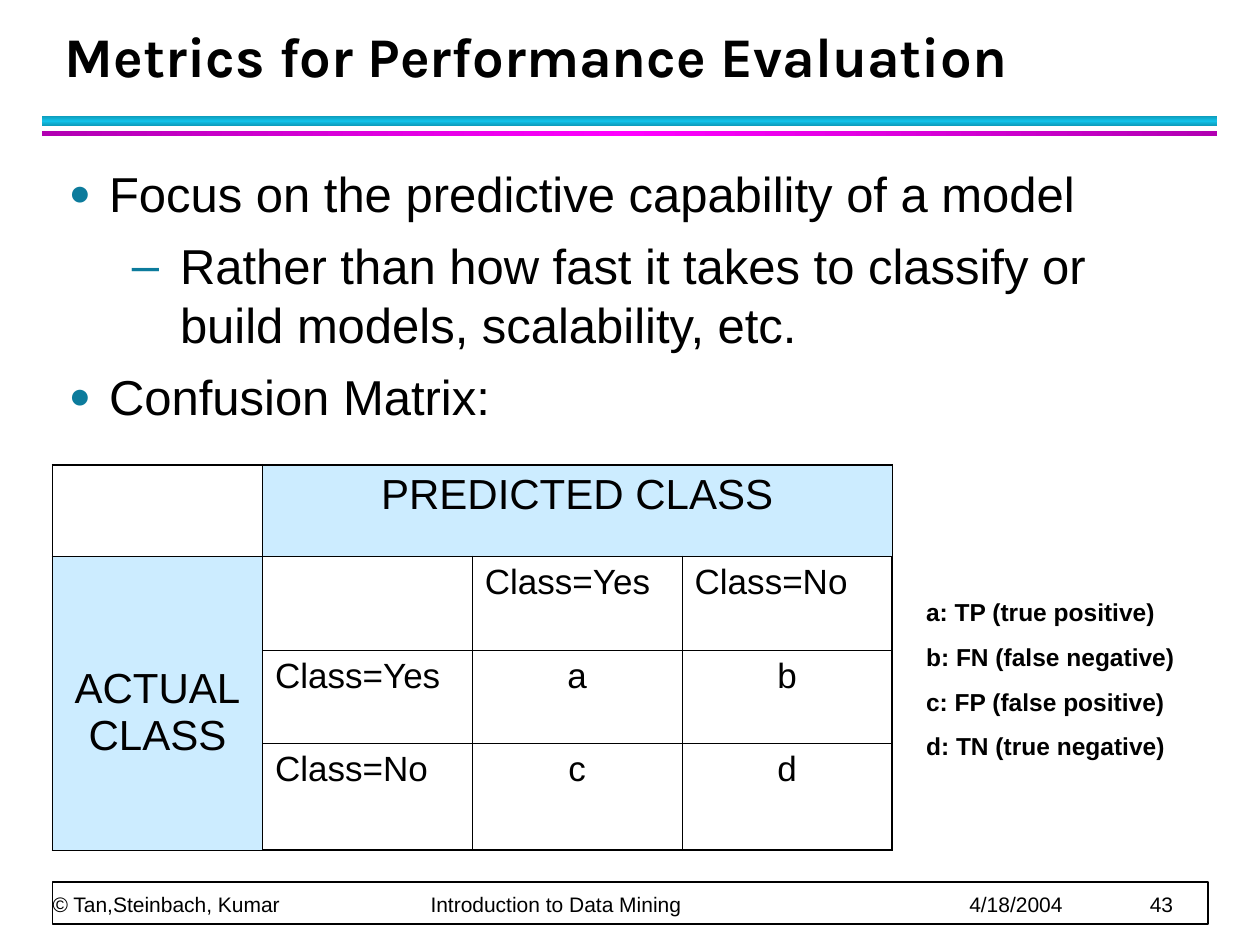
from copy import deepcopy
from lxml.etree import SubElement as Sub
from pptx import Presentation
from pptx.dml.color import RGBColor as RGB
from pptx.enum.shapes import MSO_SHAPE as Shape
from pptx.enum.text import MSO_ANCHOR as Anchor, PP_ALIGN as Align
from pptx.oxml.ns import qn
from pptx.util import Cm, Pt

HUES = {"black": "000000", "white": "FFFFFF", "cell": "CCECFF",
        "teal": "0C7B9C", "cyan": "12C2E9", "sea": "0E9BBA",
        "pink": "FF00FF", "plum": "B200B2"}


def hue(name):
    return RGB.from_string(HUES[name])


def write(para, text, size, bold=False, face="Arial"):
    """Add one styled run to a paragraph."""
    run = para.add_run()
    run.text = text
    font = run.font
    font.size, font.bold, font.name = Pt(size), bold, face
    font.color.rgb = hue("black")


deck = Presentation()
deck.slide_width, deck.slide_height = Cm(25.4), Cm(19.05)
slide = deck.slides.add_slide(deck.slide_layouts[6])
shapes = slide.shapes

# Two gradient rules under the title
for top, high, edge, mid, angle in [(2.34, 0.2, "sea", "cyan", 90),
                                    (2.64, 0.1, "plum", "pink", 0)]:
    bar = shapes.add_shape(Shape.RECTANGLE, Cm(0.84), Cm(top), Cm(23.7), Cm(high))
    bar.shadow.inherit = False
    bar.line.fill.background()
    bar.fill.gradient()
    bar.fill.gradient_angle = angle
    first, last = bar.fill.gradient_stops
    first.color.rgb, last.color.rgb = hue(edge), hue(edge)
    first.position, last.position = 0, 1
    stops = bar._element.spPr.find(qn("a:gradFill")).find(qn("a:gsLst"))
    stops.insert(1, deepcopy(stops[0]))
    centre = bar.fill.gradient_stops[1]
    centre.position, centre.color.rgb = 0.5, hue(mid)

# Footer frame
frame = shapes.add_shape(Shape.RECTANGLE, Cm(1.06), Cm(17.78), Cm(23.3), Cm(0.85))
frame.shadow.inherit = False
frame.fill.solid()
frame.fill.fore_color.rgb = hue("white")
frame.line.color.rgb = hue("black")
frame.line.width = Pt(1)

# Text boxes
boxes = {}
for name, left, top, wide, high, anchor in [
        ("foot", 1.06, 17.07, 23.24, 1.42, Anchor.BOTTOM),
        ("title", 1.06, 0.44, 23, 1.47, Anchor.BOTTOM),
        ("body", 1.14, 3.18, 23.1, 14.4, Anchor.TOP),
        ("key", 18.42, 11.91, 6.15, 3.56, Anchor.TOP)]:
    box = shapes.add_textbox(Cm(left), Cm(top), Cm(wide), Cm(high))
    boxes[name] = box.text_frame
    boxes[name].word_wrap = True
    boxes[name].vertical_anchor = anchor

# Footer text on tab stops
foot = boxes["foot"]
foot.margin_left = foot.margin_right = foot.margin_top = foot.margin_bottom = 0
para = foot.paragraphs[0]
para.line_spacing = Pt(20)
tabs = Sub(para._p.get_or_add_pPr(), qn("a:tabLst"))
for stop in (7.62, 18.48, 22.12):
    Sub(tabs, qn("a:tab"), pos=str(Cm(stop)), algn="l")
write(para, "© Tan,Steinbach, Kumar\tIntroduction to Data Mining\t4/18/2004\t43", 12)

# Title
para = boxes["title"].paragraphs[0]
para.line_spacing = Pt(36)
write(para, "Metrics for Performance Evaluation", 32, True, "Karla")

# Bulleted points
points = [(0, "Focus on the predictive capability of a model"),
          (1, "Rather than how fast it takes to classify or build models, scalability, etc."),
          (0, "Confusion Matrix:")]
marks = [("●", 75, 0.81, 0.81), ("–", 100, 2.24, 0.97)]
for i, (level, text) in enumerate(points):
    body = boxes["body"]
    para = body.add_paragraph() if i else body.paragraphs[0]
    para.level = level
    if i:
        para.space_before = Pt(3.5)
    para.space_after = Pt(4)
    mark, scale, left, hang = marks[level]
    props = para._p.get_or_add_pPr()
    props.set("marL", str(Cm(left)))
    props.set("indent", str(-Cm(hang)))
    Sub(Sub(props, qn("a:buClr")), qn("a:srgbClr"), val=HUES["teal"])
    Sub(props, qn("a:buSzPct"), val=str(scale * 1000))
    Sub(props, qn("a:buFont"), typeface="Arial")
    Sub(props, qn("a:buChar"), char=mark)
    write(para, text, 28)

# Confusion matrix
rows = [["", "PREDICTED CLASS", "", ""],
        ["ACTUAL", "", "Class=Yes", "Class=No"],
        ["", "Class=Yes", "a", "b"],
        ["", "Class=No", "c", "d"]]
highs = [1.84, 1.9, 1.87, 2.16]
grid = shapes.add_table(4, 4, Cm(1.06), Cm(9.37), Cm(16.94), Cm(sum(highs))).table
grid.first_row = grid.horz_banding = False
for col in grid.columns:
    col.width = Cm(4.23)
for row, high in zip(grid.rows, highs):
    row.height = Cm(high)
grid.cell(0, 1).merge(grid.cell(0, 3))
grid.cell(1, 0).merge(grid.cell(3, 0))

for r, row in enumerate(rows):
    for c, text in enumerate(row):
        cell = grid.cell(r, c)
        head = (r == 0) != (c == 0)
        # Borders: heavier on the outside
        props = cell._tc.get_or_add_tcPr()
        for side, outer in [("L", c == 0), ("R", c == 3),
                            ("T", r == 0), ("B", r == 3)]:
            line = Sub(props, qn("a:ln" + side), w=str(Pt(1.08 if outer else 0.45)))
            Sub(Sub(line, qn("a:solidFill")), qn("a:srgbClr"), val=HUES["black"])
        if head:
            cell.fill.solid()
            cell.fill.fore_color.rgb = hue("cell")
        else:
            cell.fill.background()
        if text:
            para = cell.text_frame.paragraphs[0]
            para.space_after = Pt(4)
            if head or len(text) == 1:
                para.alignment = Align.CENTER
            write(para, text, 24 if head else 20)

# Second line of the row heading
side = grid.cell(1, 0)
side.margin_top = Cm(2.2)
para = side.text_frame.paragraphs[0]
para.add_line_break()
write(para, "CLASS", 24)

# Key to the cells
for i, text in enumerate(["a: TP (true positive)", "b: FN (false negative)",
                          "c: FP (false positive)", "d: TN (true negative)"]):
    key = boxes["key"]
    para = key.add_paragraph() if i else key.paragraphs[0]
    if i:
        para.space_before = Pt(8.8)
    write(para, text, 14, True)

deck.save("out.pptx")
